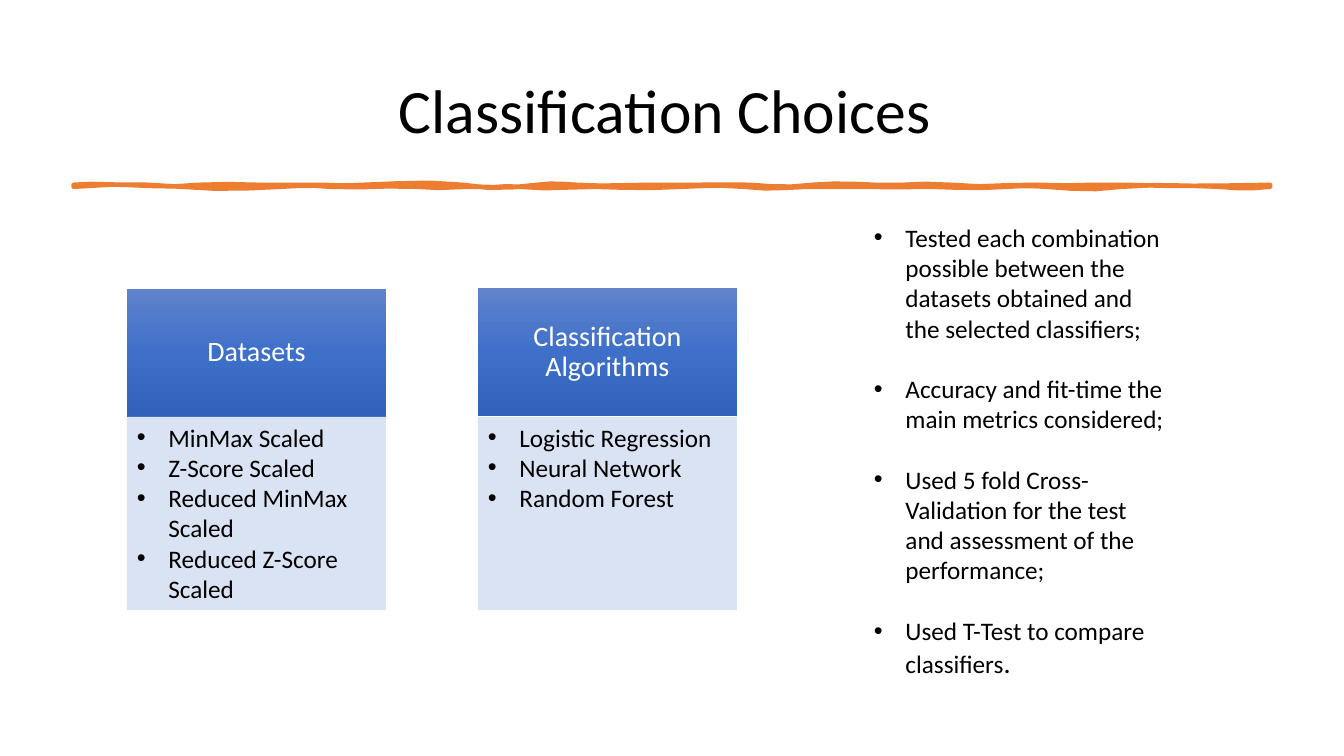
import dataclasses

import lxml.etree
import pptx
import pptx.dml.color
import pptx.enum.shapes
import pptx.enum.text
import pptx.oxml.ns
import pptx.shapes.autoshape
import pptx.slide
import pptx.text.text
import pptx.util

Pt = pptx.util.Pt
qn = pptx.oxml.ns.qn
CENTER = pptx.enum.text.PP_ALIGN.CENTER
MIDDLE = pptx.enum.text.MSO_ANCHOR.MIDDLE
TOP = pptx.enum.text.MSO_ANCHOR.TOP

FONT = "Calibri"
BLACK, WHITE, ORANGE, PALE_BLUE = "000000", "FFFFFF", "ED7D31", "DAE3F3"
HEADER_GRADIENT = ("6183CB", "3E70CA", "3062BB")
BULLET_INDENT = 22.5


@dataclasses.dataclass(frozen=True)
class Box:
    left: float
    top: float
    width: float
    height: float


@dataclasses.dataclass(frozen=True)
class Card:
    left: float
    header_top: float
    title: str
    items: tuple[str, ...]


@dataclasses.dataclass(frozen=True)
class Wave:
    """A stretch of the divider's edge: where it ends and how far it bends on the way."""
    end: float
    first_bend: float
    second_bend: float


CARDS = (
    Card(90.7, 206.4, "Datasets", ("MinMax Scaled", "Z-Score Scaled",
                                   "Reduced MinMax Scaled", "Reduced Z-Score Scaled")),
    Card(341.4, 206, "Classification Algorithms",
         ("Logistic Regression", "Neural Network", "Random Forest")),
)
CARD_WIDTH, HEADER_HEIGHT, BODY_TOP, BODY_HEIGHT = 185, 91.4, 297.8, 138

REMARKS = (
    "Tested each combination possible between the datasets obtained and the selected classifiers;",
    "Accuracy and fit-time the main metrics considered;",
    "Used 5 fold Cross-Validation for the test and assessment of the performance;",
    "Used T-Test to compare classifiers",
)

DIVIDER_LEFT, DIVIDER_RIGHT = 52.6, 907.2
UPPER_Y, LOWER_Y = 132, 133.4
UPPER_EDGE = (
    Wave(89.3, -1.4, 0), Wave(142.6, 0.7, 2.2), Wave(204.5, -1.4, 0.7),
    Wave(231.8, 0, 0), Wave(259.9, 0.7, 0.7), Wave(330.5, -0.7, -2.9),
    Wave(383.8, 3.6, 2.2), Wave(411.8, -1.4, -0.7), Wave(465.1, 1.4, 0),
    Wave(535.7, 0.7, -0.7), Wave(580.3, 1.4, 2.2), Wave(625, -1.4, -0.7),
    Wave(679, 1.4, -2.2), Wave(740.9, 2.9, -0.7), Wave(802.8, 1.4, -0.7),
    Wave(DIVIDER_RIGHT, 1.4, 0.7),
)
LOWER_EDGE = (
    Wave(871.2, 1.4, 1.4), Wave(800.6, -0.7, -2.2), Wave(747.4, 2.9, 1.4),
    Wave(719.3, -0.7, -0.7), Wave(666, 1.4, 0.7), Wave(621.4, 0, 0.7),
    Wave(576, 0, 0), Wave(531.4, 0.7, 2.2), Wave(486.7, -1.4, -0.7),
    Wave(424.8, 1.4, 0.7), Wave(370.8, 0, 2.2), Wave(343.4, -1.4, 1.4),
    Wave(298.1, -0.7, 2.2), Wave(236.2, -1.4, 1.4), Wave(200.2, -1.4, -0.7),
    Wave(129.6, 1.4, 2.2), Wave(DIVIDER_LEFT, -2.2, -2.2),
)


def rgb(value: str) -> pptx.dml.color.RGBColor:
    return pptx.dml.color.RGBColor.from_string(value)


def add_text(paragraph: pptx.text.text._Paragraph, text: str, *, size: float = 18,
             color: str = BLACK, centered: bool = False, bullet: bool = False,
             line_spacing: float | None = None, space_before: float = 0) -> None:
    """Append a run; paragraph settings apply only where they are given."""
    run = paragraph.add_run()
    run.text = text
    run.font.name = FONT
    run.font.size = Pt(size)
    run.font.color.rgb = rgb(color)
    if centered:
        paragraph.alignment = CENTER
    if line_spacing:
        paragraph.line_spacing = line_spacing
    if space_before:
        paragraph.space_before = Pt(space_before)
    if bullet:
        paragraph.alignment = pptx.enum.text.PP_ALIGN.LEFT
        properties = paragraph._p.get_or_add_pPr()
        properties.set("marL", str(Pt(BULLET_INDENT)))
        properties.set("indent", str(-Pt(BULLET_INDENT)))
        lxml.etree.SubElement(properties, qn("a:buFont"), typeface="Arial")
        lxml.etree.SubElement(properties, qn("a:buChar"), char="•")


def add_bullets(frame: pptx.text.text.TextFrame, items: tuple[str, ...],
                gap: float = 0) -> None:
    for index, item in enumerate(items):
        paragraph = frame.add_paragraph() if index else frame.paragraphs[0]
        add_text(paragraph, item, bullet=True, space_before=gap if index else 0)


def add_text_box(slide: pptx.slide.Slide, box: Box,
                 anchor: pptx.enum.text.MSO_ANCHOR = TOP) -> pptx.text.text.TextFrame:
    frame = slide.shapes.add_textbox(
        Pt(box.left), Pt(box.top), Pt(box.width), Pt(box.height)).text_frame
    frame.word_wrap = True
    frame.vertical_anchor = anchor
    return frame


def add_rectangle(slide: pptx.slide.Slide, box: Box,
                  anchor: pptx.enum.text.MSO_ANCHOR = TOP) -> pptx.shapes.autoshape.Shape:
    shape = slide.shapes.add_shape(
        pptx.enum.shapes.MSO_SHAPE.RECTANGLE,
        Pt(box.left), Pt(box.top), Pt(box.width), Pt(box.height))
    shape.shadow.inherit = False
    shape.line.fill.background()
    shape.text_frame.word_wrap = True
    shape.text_frame.vertical_anchor = anchor
    return shape


def fill_downward_gradient(shape: pptx.shapes.autoshape.Shape, colors: tuple[str, ...]) -> None:
    shape.fill.gradient()
    shape.fill.gradient_angle = 270
    stop_list = next(shape._element.iter(qn("a:gsLst")))
    for stop in list(stop_list):
        stop_list.remove(stop)
    for index, color in enumerate(colors):
        position = round(100000 * index / (len(colors) - 1))
        stop = lxml.etree.SubElement(stop_list, qn("a:gs"), pos=str(position))
        lxml.etree.SubElement(stop, qn("a:srgbClr"), val=color)


def add_card(slide: pptx.slide.Slide, card: Card) -> None:
    header = add_rectangle(
        slide, Box(card.left, card.header_top, CARD_WIDTH, HEADER_HEIGHT), MIDDLE)
    fill_downward_gradient(header, HEADER_GRADIENT)
    add_text(header.text_frame.paragraphs[0], card.title, size=20, color=WHITE,
             centered=True, line_spacing=0.9)
    body = add_rectangle(slide, Box(card.left, BODY_TOP, CARD_WIDTH, BODY_HEIGHT))
    body.fill.solid()
    body.fill.fore_color.rgb = rgb(PALE_BLUE)
    add_bullets(body.text_frame, card.items)


def edge_points(start: float, level: float, waves: tuple[Wave, ...],
                steps: int = 3) -> list[tuple[int, int]]:
    """Sample each wave as a cubic curve that starts and ends at the level."""
    points = []
    for wave in waves:
        for step in range(1, steps + 1):
            t = step / steps
            bend = 3 * t * (1 - t) * ((1 - t) * wave.first_bend + t * wave.second_bend)
            points.append((Pt(start + t * (wave.end - start)), Pt(level + bend)))
        start = wave.end
    return points


def add_divider(slide: pptx.slide.Slide) -> None:
    builder = slide.shapes.build_freeform(Pt(DIVIDER_LEFT), Pt(UPPER_Y))
    builder.add_line_segments(
        edge_points(DIVIDER_LEFT, UPPER_Y, UPPER_EDGE)
        + [(Pt(DIVIDER_RIGHT), Pt(LOWER_Y))]
        + edge_points(DIVIDER_RIGHT, LOWER_Y, LOWER_EDGE), close=True)
    divider = builder.convert_to_shape()
    divider.shadow.inherit = False
    divider.fill.solid()
    divider.fill.fore_color.rgb = rgb(ORANGE)
    divider.line.color.rgb = rgb(ORANGE)
    divider.line.width = Pt(3.25)


def main() -> None:
    presentation = pptx.Presentation()
    presentation.slide_width, presentation.slide_height = Pt(960), Pt(540)
    slide = presentation.slides.add_slide(presentation.slide_layouts[6])

    title = add_text_box(slide, Box(66, 28.8, 828, 104.4), MIDDLE)
    add_text(title.paragraphs[0], "Classification Choices ", size=44,
             centered=True, line_spacing=0.9)
    add_divider(slide)
    for card in CARDS:
        add_card(slide, card)
    remarks = add_text_box(slide, Box(617.2, 155.1, 221, 358.6))
    add_bullets(remarks, REMARKS, gap=21.6)
    add_text(remarks.paragraphs[-1], ".", size=20)

    presentation.save("out.pptx")


if __name__ == "__main__":
    main()
